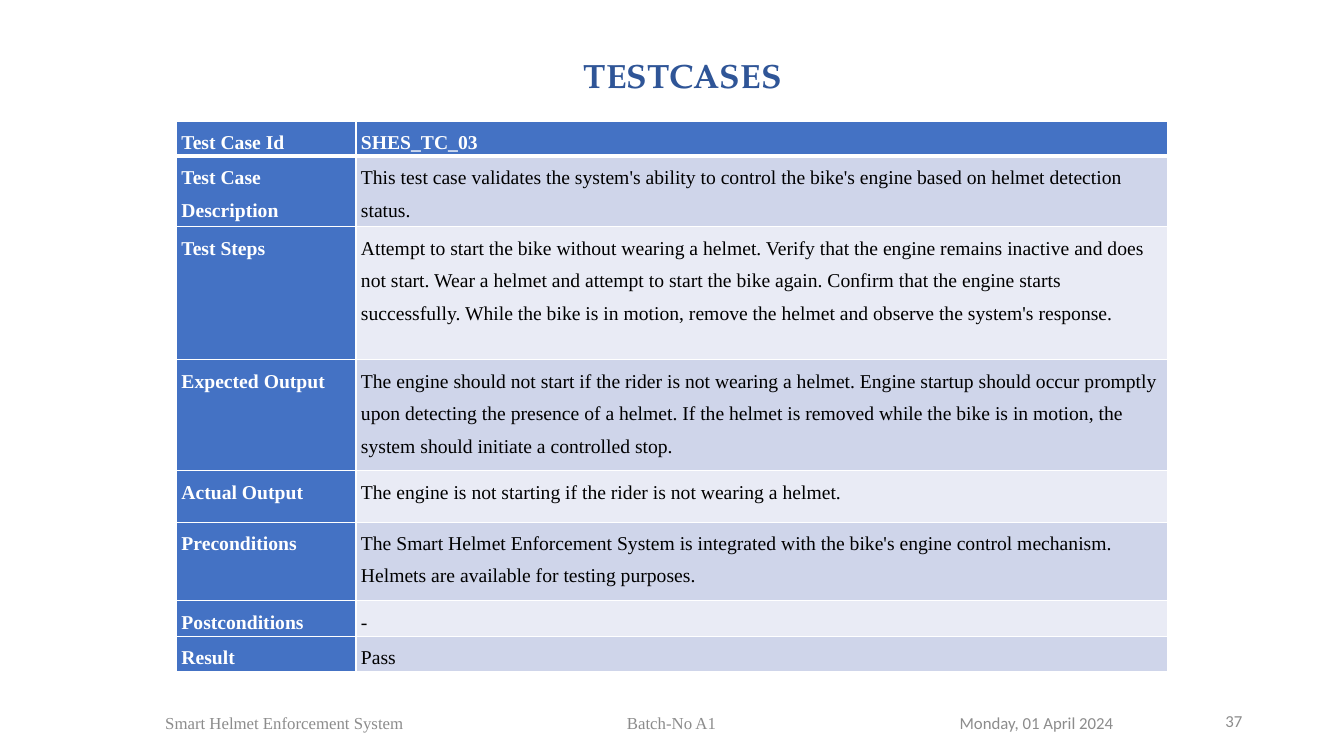
"""Build the test case slide of the helmet system with its table and footer."""
from dataclasses import dataclass
from typing import Any

from lxml import etree
from pptx import Presentation
from pptx.dml import color
from pptx.enum import text
from pptx.oxml import ns
from pptx.util import Inches, Pt


@dataclass(frozen=True)
class Theme:
    title: str = "2F5597"
    footer: str = "8C8C8C"
    header: str = "4472C4"
    bands: tuple[str, str] = ("E9EBF5", "CFD5EA")
    light: str = "FFFFFF"
    dark: str = "000000"
    serif: str = "Times New Roman"
    sans: str = "Calibri"
    display: str = "TeX Gyre Pagella"
    title_size: int = 24
    table_size: int = 14
    footer_size: int = 12


@dataclass(frozen=True)
class Style:
    name: str
    size: int
    color: str
    bold: bool = False


@dataclass(frozen=True)
class Label:
    words: str
    left: float
    top: float
    width: float
    height: float
    style: Style
    frame: dict[str, Any]
    align: text.PP_ALIGN = text.PP_ALIGN.LEFT
    tab: float | None = None


@dataclass(frozen=True)
class Field:
    heading: str
    detail: str
    height: float


THEME = Theme()
TITLE = Style(THEME.display, THEME.title_size, THEME.title, True)
HEADING = Style(THEME.serif, THEME.table_size, THEME.light, True)
DETAIL = Style(THEME.serif, THEME.table_size, THEME.dark)
FOOTER_SERIF = Style(THEME.serif, THEME.footer_size, THEME.footer)
FOOTER_SANS = Style(THEME.sans, THEME.footer_size, THEME.footer)

FOOTER_FRAME = {"word_wrap": True, "vertical_anchor": text.MSO_ANCHOR.MIDDLE}
TITLE_FRAME = {"word_wrap": False, "auto_size": text.MSO_AUTO_SIZE.SHAPE_TO_FIT_TEXT}
CELL_MARGINS = {"margin_left": Inches(0.05), "margin_right": Inches(0.05),
                "margin_top": 0, "margin_bottom": 0}
CELL_SPACING = {"line_spacing": 1.5, "space_after": Pt(10)}
TABLE_FLAGS = {"first_row": True, "horz_banding": False}

LABELS = [
    Label("37", 9.42, 6.95, 3, 0.4, FOOTER_SANS, FOOTER_FRAME, text.PP_ALIGN.RIGHT),
    Label("Smart Helmet Enforcement System\tBatch-No A1", 1.54, 6.97, 7.09, 0.4,
          FOOTER_SERIF, FOOTER_FRAME, tab=4.58),
    Label("Monday, 01 April 2024", 9.42, 6.97, 3, 0.4, FOOTER_SANS, FOOTER_FRAME),
    Label("TESTCASES", 5.69, 0.5, 2.18, 0.5, TITLE, TITLE_FRAME),
]

COLUMN_WIDTHS = (1.78, 8.05)
FIELDS = [
    Field("Test Case Id", "SHES_TC_03", 0.35),
    Field("Test Case Description",
          "This test case validates the system's ability to control the bike's engine "
          "based on helmet detection status.", 0.51),
    Field("Test Steps",
          "Attempt to start the bike without wearing a helmet. Verify that the engine "
          "remains inactive and does not start. Wear a helmet and attempt to start the "
          "bike again. Confirm that the engine starts successfully. While the bike is in "
          "motion, remove the helmet and observe the system's response.", 1.32),
    Field("Expected Output",
          "The engine should not start if the rider is not wearing a helmet. Engine "
          "startup should occur promptly upon detecting the presence of a helmet. If the "
          "helmet is removed while the bike is in motion, the system should initiate a "
          "controlled stop.", 1.1),
    Field("Actual Output",
          "The engine is not starting if the rider is not wearing a helmet.", 0.51),
    Field("Preconditions",
          "The Smart Helmet Enforcement System is integrated with the bike's engine "
          "control mechanism. Helmets are available for testing purposes.", 0.78),
    Field("Postconditions", "-", 0.35),
    Field("Result", "Pass", 0.35),
]


def apply(target: Any, values: dict[str, Any]) -> None:
    for key, value in values.items():
        setattr(target, key, value)


def write(paragraph: Any, words: str, style: Style) -> None:
    run = paragraph.add_run()
    run.text = words
    apply(run.font, {"name": style.name, "size": Pt(style.size), "bold": style.bold})
    run.font.color.rgb = color.RGBColor.from_string(style.color)


def add_label(slide: Any, label: Label) -> None:
    place = (label.left, label.top, label.width, label.height)
    frame = slide.shapes.add_textbox(*map(Inches, place)).text_frame
    apply(frame, label.frame)
    paragraph = frame.paragraphs[0]
    paragraph.alignment = label.align
    if label.tab is not None:
        stops = etree.SubElement(paragraph._p.get_or_add_pPr(), ns.qn("a:tabLst"))
        etree.SubElement(stops, ns.qn("a:tab"), pos=str(Inches(label.tab)), algn="l")
    write(paragraph, label.words, label.style)


def add_borders(cell: Any, widths: dict[str, float]) -> None:
    properties = cell._tc.get_or_add_tcPr()
    for side, width in widths.items():
        line = etree.SubElement(properties, ns.qn(f"a:ln{side}"), w=str(Pt(width)))
        fill = etree.SubElement(line, ns.qn("a:solidFill"))
        etree.SubElement(fill, ns.qn("a:srgbClr"), val=THEME.light)


def fill_cell(cell: Any, words: str, style: Style, fill: str,
              borders: dict[str, float]) -> None:
    apply(cell, CELL_MARGINS)
    add_borders(cell, borders)
    cell.fill.solid()
    cell.fill.fore_color.rgb = color.RGBColor.from_string(fill)
    paragraph = cell.text_frame.paragraphs[0]
    apply(paragraph, CELL_SPACING)
    write(paragraph, words, style)


def add_test_case(slide: Any, fields: list[Field]) -> None:
    height = sum(field.height for field in fields)
    table = slide.shapes.add_table(
        len(fields), len(COLUMN_WIDTHS), Inches(1.75), Inches(1.2),
        Inches(sum(COLUMN_WIDTHS)), Inches(height)).table
    apply(table, TABLE_FLAGS)
    for column, width in zip(table.columns, COLUMN_WIDTHS):
        column.width = Inches(width)
    for index, field in enumerate(fields):
        table.rows[index].height = Inches(field.height)
        borders = {"L": 1, "R": 1, "T": 3 if index == 1 else 1, "B": 1 if index else 3}
        style, fill = (DETAIL, THEME.bands[index % 2]) if index else (HEADING, THEME.header)
        fill_cell(table.cell(index, 0), field.heading, HEADING, THEME.header, borders)
        fill_cell(table.cell(index, 1), field.detail, style, fill, borders)


def main() -> None:
    deck = Presentation()
    apply(deck, {"slide_width": Inches(13.33), "slide_height": Inches(7.5)})
    slide = deck.slides.add_slide(deck.slide_layouts[6])
    for label in LABELS:
        add_label(slide, label)
    add_test_case(slide, FIELDS)
    deck.save("out.pptx")


if __name__ == "__main__":
    main()
